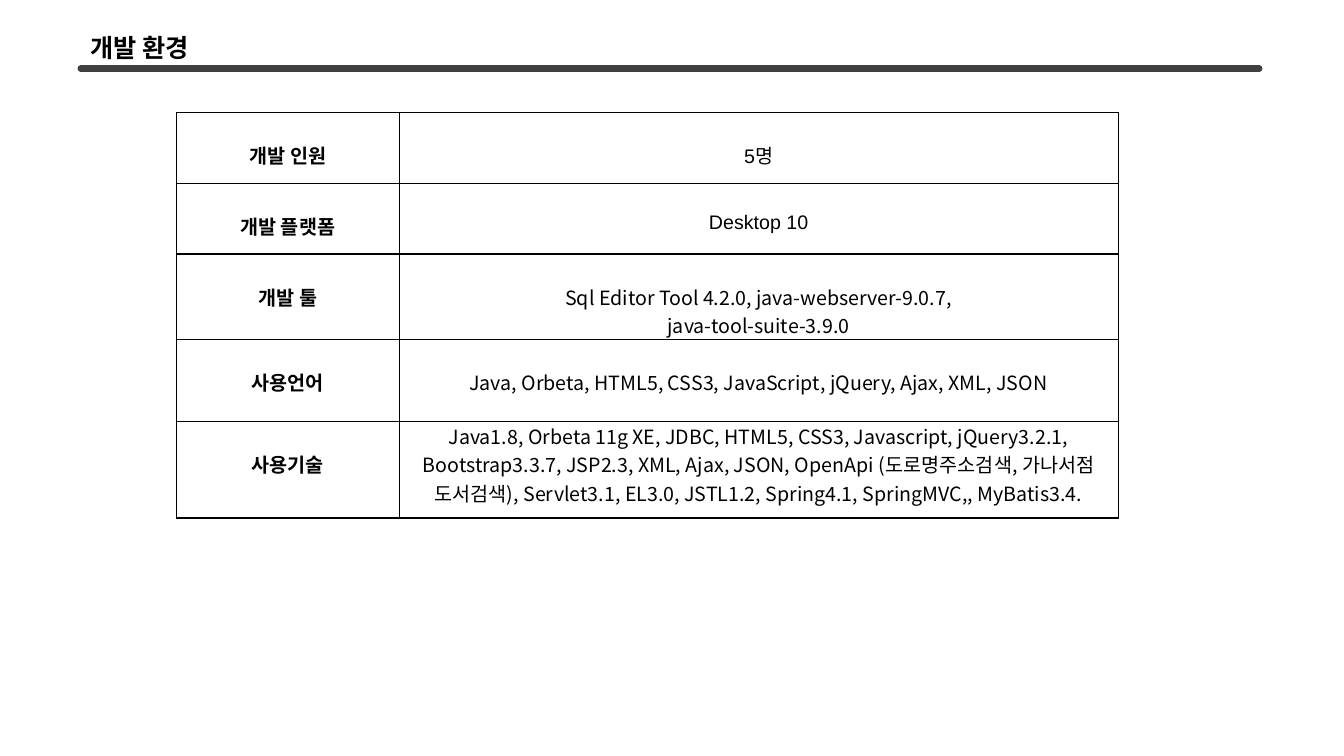
from lxml import etree
from pptx import Presentation
from pptx.dml.color import RGBColor
from pptx.enum.shapes import MSO_CONNECTOR as Connector
from pptx.enum.text import MSO_AUTO_SIZE as AutoSize, PP_ALIGN as Align
from pptx.oxml import parse_xml
from pptx.oxml.ns import nsdecls, qn
from pptx.util import Inches, Pt

SANS = "Noto Sans CJK KR"
BLACK = "000000"


def style(para, font, size, bold):
    para.font.name = font
    para.font.size = Pt(size)
    para.font.bold = bold
    para.font.color.rgb = color(BLACK)


def color(value):
    return RGBColor.from_string(value)


deck = Presentation()
deck.slide_width, deck.slide_height = Inches(13.33), Inches(7.5)
page = deck.slides.add_slide(deck.slide_layouts[6])

# Environment table: label, lines, font, row height, space above the value
rows = [
    ("개발 인원", ["5명"], "Arial", 0.7, 0.28),
    ("개발 플랫폼", ["Desktop 10"], "Arial", 0.7, 0.28),
    ("개발 툴", ["Sql Editor Tool 4.2.0, java-webserver-9.0.7,",
              "java-tool-suite-3.9.0"], SANS, 0.85, 0.28),
    ("사용언어", ["Java, Orbeta, HTML5, CSS3, JavaScript, jQuery, Ajax, XML, JSON"],
     SANS, 0.81, 0.28),
    ("사용기술", ["Java1.8, Orbeta 11g XE, JDBC, HTML5, CSS3, Javascript, jQuery3.2.1, "
              "Bootstrap3.3.7, JSP2.3, XML, Ajax, JSON, OpenApi (도로명주소검색, 가나서점 "
              "도서검색), Servlet3.1, EL3.0, JSTL1.2, Spring4.1, SpringMVC,, MyBatis3.4."],
     SANS, 0.96, 0),
]
table = page.shapes.add_table(len(rows), 2, Inches(1.75), Inches(1.12),
                              Inches(9.34), Inches(4.02)).table
table.first_row = table.horz_banding = False
table.columns[0].width, table.columns[1].width = Inches(2.21), Inches(7.13)

for index, (label, lines, font, height, space) in enumerate(rows):
    table.rows[index].height = Inches(height)
    contents = [([label], "Arial", True, 0.28), (lines, font, False, space)]
    for cell, (texts, face, bold, top) in zip(table.rows[index].cells, contents):
        cell.margin_left = cell.margin_right = Inches(0.07)
        cell.margin_top, cell.margin_bottom = Inches(top), 0
        cell.text_frame.text = "\n".join(texts)
        for para in cell.text_frame.paragraphs:
            para.alignment = Align.CENTER
            style(para, face, 14, bold)
        # Cell borders come before the fill
        properties = cell._tc.get_or_add_tcPr()
        for side in ("lnL", "lnR", "lnT", "lnB"):
            properties.append(parse_xml(
                f'<a:{side} {nsdecls("a")} w="12700"><a:solidFill>'
                f'<a:srgbClr val="{BLACK}"/></a:solidFill></a:{side}>'))
        cell.fill.background()

# Rule under the title, with round ends
rule = page.shapes.add_connector(Connector.STRAIGHT, Inches(0.8), Inches(0.68),
                                 Inches(12.49), Inches(0.68))
rule.line.color.rgb = color("404040")
rule.line.width = Pt(4.5)
rule.line._get_or_add_ln().set("cap", "rnd")
etree.SubElement(rule._element.spPr, qn("a:effectLst"))

# Title
box = page.shapes.add_textbox(Inches(0.8), Inches(0.27), Inches(1.3), Inches(0.4))
box.text_frame.word_wrap = False
box.text_frame.auto_size = AutoSize.SHAPE_TO_FIT_TEXT
box.text_frame.text = "개발 환경"
style(box.text_frame.paragraphs[0], SANS, 18, True)

deck.save("out.pptx")
